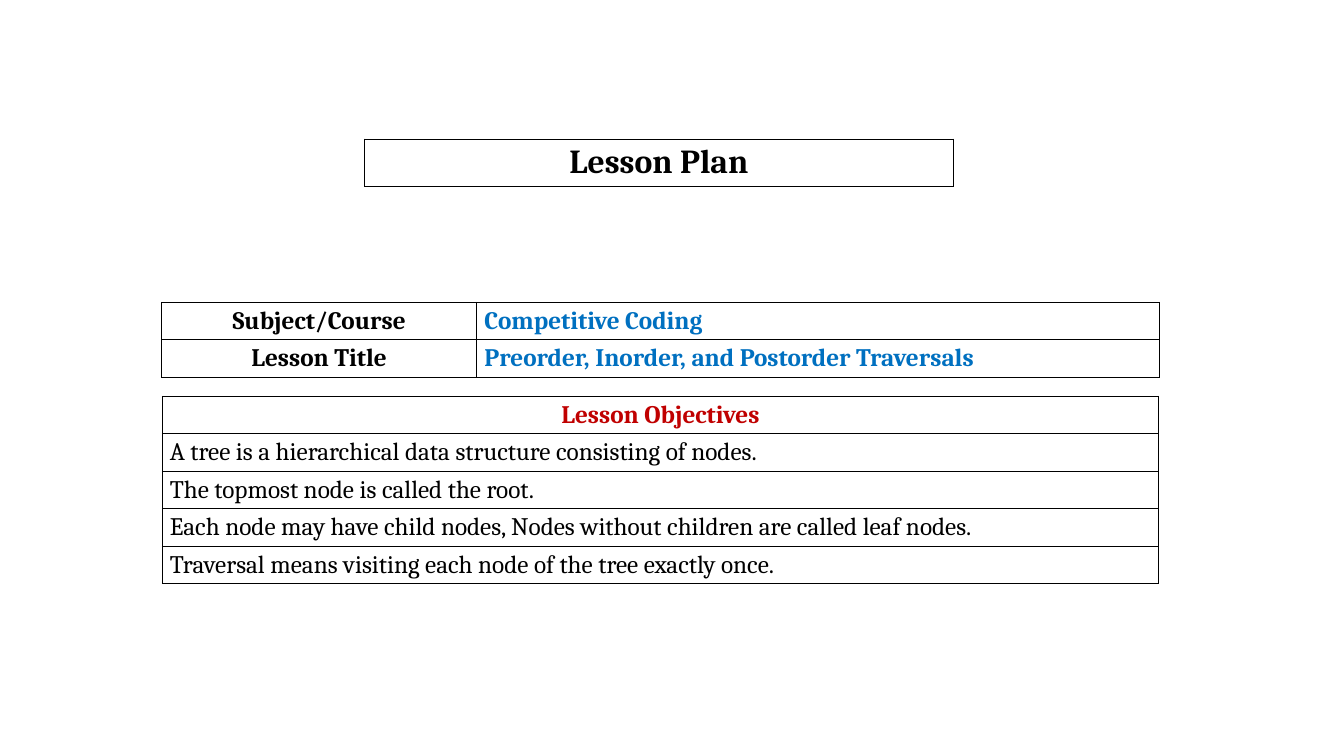
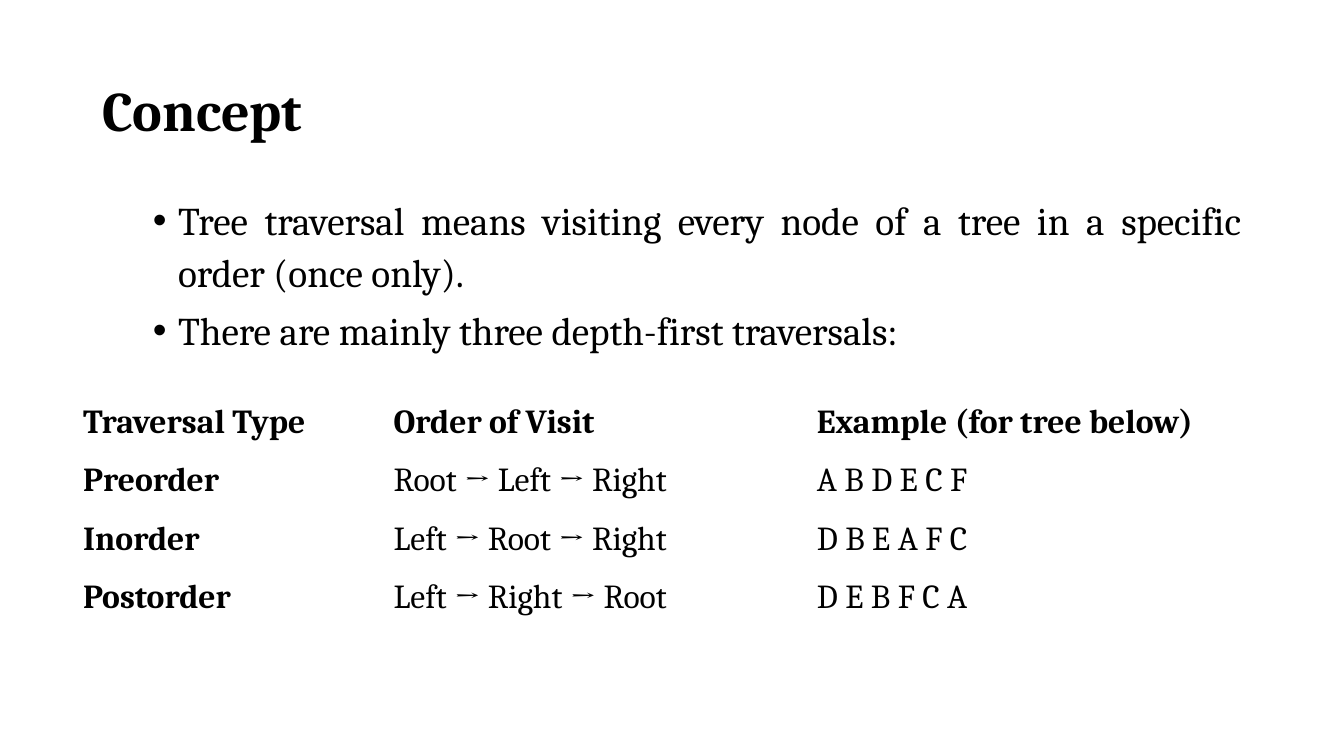
from lxml import etree
from pptx import Presentation
from pptx.dml.color import RGBColor
from pptx.enum.text import MSO_ANCHOR, MSO_AUTO_SIZE, PP_ALIGN
from pptx.oxml.ns import qn
from pptx.util import Pt

LEFT, CENTER, JUSTIFY = PP_ALIGN.LEFT, PP_ALIGN.CENTER, PP_ALIGN.JUSTIFY
TOP, MIDDLE = MSO_ANCHOR.TOP, MSO_ANCHOR.MIDDLE
NO_AUTOFIT = MSO_AUTO_SIZE.NONE

COLORS = {"text": "000000", "paper": "FFFFFF", "value": "0070C0", "heading": "C00000"}
FONT = "Cambria"
BORDER_WIDTH = 0.77
LAYOUT_CONTENT, LAYOUT_BLANK = 1, 6


def add_run(p, text, size, bold=False, color="text"):
    r = p.add_run()
    r.text = text
    r.font.name = FONT
    r.font.size = Pt(size)
    r.font.bold = bold
    r.font.color.rgb = RGBColor.from_string(COLORS[color])


def place(shape, left, top, width, height):
    shape.left, shape.top = Pt(left), Pt(top)
    shape.width, shape.height = Pt(width), Pt(height)


def set_borders(cell):
    tc_pr = cell._tc.get_or_add_tcPr()
    for side in ("a:lnL", "a:lnR", "a:lnT", "a:lnB"):
        line = etree.SubElement(tc_pr, qn(side), w=str(int(Pt(BORDER_WIDTH))))
        fill = etree.SubElement(line, qn("a:solidFill"))
        etree.SubElement(fill, qn("a:srgbClr"), val=COLORS["text"])


def add_table(s, left, top, col_widths, row_height, row_count):
    """Add a plain table without the header and banding styles."""
    shape = s.shapes.add_table(row_count, len(col_widths), Pt(left), Pt(top),
                               Pt(sum(col_widths)), Pt(row_height * row_count))
    table = shape.table
    table.first_row = table.horz_banding = False
    for column, width in zip(table.columns, col_widths):
        column.width = Pt(width)
    for row in table.rows:
        row.height = Pt(row_height)
    return table


def fill_cell(cell, text, size, bold, color, align, anchor, margins):
    cell.margin_left = cell.margin_right = Pt(margins[0])
    cell.margin_top = cell.margin_bottom = Pt(margins[1])
    cell.vertical_anchor = anchor
    p = cell.text_frame.paragraphs[0]
    p.alignment = align
    add_run(p, text, size, bold, color)
    return p


def add_boxed_table(s, left, top, col_widths, row_height, rows, size=18):
    """Add a bordered table; each cell is (text, bold, color, alignment)."""
    table = add_table(s, left, top, col_widths, row_height, len(rows))
    for i, row in enumerate(rows):
        for j, (text, bold, color, align) in enumerate(row):
            cell = table.cell(i, j)
            set_borders(cell)
            cell.fill.solid()
            cell.fill.fore_color.rgb = RGBColor.from_string(COLORS["paper"])
            fill_cell(cell, text, size, bold, color, align, MIDDLE, (5.4, 2.7))


def add_open_table(s, left, top, col_widths, row_height, rows):
    """Add an unfilled table with a bold first row and first column."""
    table = add_table(s, left, top, col_widths, row_height, len(rows))
    for i, row in enumerate(rows):
        for j, text in enumerate(row):
            cell = table.cell(i, j)
            cell.fill.background()
            p = fill_cell(cell, text, 24, i == 0 or j == 0, "text", LEFT, TOP, (7, 6.85))
            if i == 0:
                p.line_spacing = 1.15


def set_title(s, text):
    title = s.shapes.title
    place(title, 66, 28.75, 828, 104.4)
    tf = title.text_frame
    tf.auto_size = NO_AUTOFIT
    tf.vertical_anchor = MIDDLE
    p = tf.paragraphs[0]
    p.alignment = LEFT
    p.line_spacing = 0.9
    add_run(p, text, 40, bold=True)


def add_bullet(p):
    p_pr = p._p.get_or_add_pPr()
    p_pr.set("marL", str(int(Pt(54))))
    p_pr.set("indent", str(int(Pt(-18))))
    etree.SubElement(p_pr, qn("a:buFont"), typeface="Arial")
    etree.SubElement(p_pr, qn("a:buChar"), char="•")


def set_bullets(s, items):
    body = s.placeholders[1]
    place(body, 66, 133.2, 828, 144)
    tf = body.text_frame
    tf.auto_size = NO_AUTOFIT
    for i, text in enumerate(items):
        p = tf.add_paragraph() if i else tf.paragraphs[0]
        p.level = 1
        p.alignment = JUSTIFY
        p.line_spacing = 1.1
        p.space_before = Pt(5)
        add_bullet(p)
        add_run(p, text, 28)


def build_lesson_plan(prs):
    s = prs.slides.add_slide(prs.slide_layouts[LAYOUT_BLANK])
    add_boxed_table(s, 260.4, 99.4, [420.5], 33.6,
                    [[("Lesson Plan", True, "text", CENTER)]], size=24)

    details = [
        ("Subject/Course", "Competitive Coding"),
        ("Lesson Title", "Preorder, Inorder, and Postorder Traversals"),
    ]
    add_boxed_table(s, 115.4, 216, [225.2, 487.6], 26.8,
                    [[(label, True, "text", CENTER), (value, True, "value", LEFT)]
                     for label, value in details])

    objectives = [
        "A tree is a hierarchical data structure consisting of nodes.",
        "The topmost node is called the root.",
        "Each node may have child nodes, Nodes without children are called leaf nodes.",
        "Traversal means visiting each node of the tree exactly once.",
    ]
    add_boxed_table(s, 115.9, 283, [711.8], 26.8,
                    [[("Lesson Objectives", True, "heading", CENTER)]]
                    + [[(text, False, "text", LEFT)] for text in objectives])


def build_concept(prs):
    s = prs.slides.add_slide(prs.slide_layouts[LAYOUT_CONTENT])
    set_title(s, "Concept")
    set_bullets(s, [
        "Tree traversal means visiting every node of a tree in a specific order (once only).",
        "There are mainly three depth-first traversals:",
    ])
    add_open_table(s, 52.4, 277.2, [221.8, 302.4, 363.6], 41.85, [
        ("Traversal Type", "Order of Visit", "Example (for tree below)"),
        ("Preorder", "Root → Left → Right", "A B D E C F"),
        ("Inorder", "Left → Root → Right", "D B E A F C"),
        ("Postorder", "Left → Right → Root", "D E B F C A"),
    ])


def main():
    prs = Presentation()
    prs.slide_width, prs.slide_height = Pt(960), Pt(540)
    build_lesson_plan(prs)
    build_concept(prs)
    prs.save("out.pptx")


if __name__ == "__main__":
    main()
